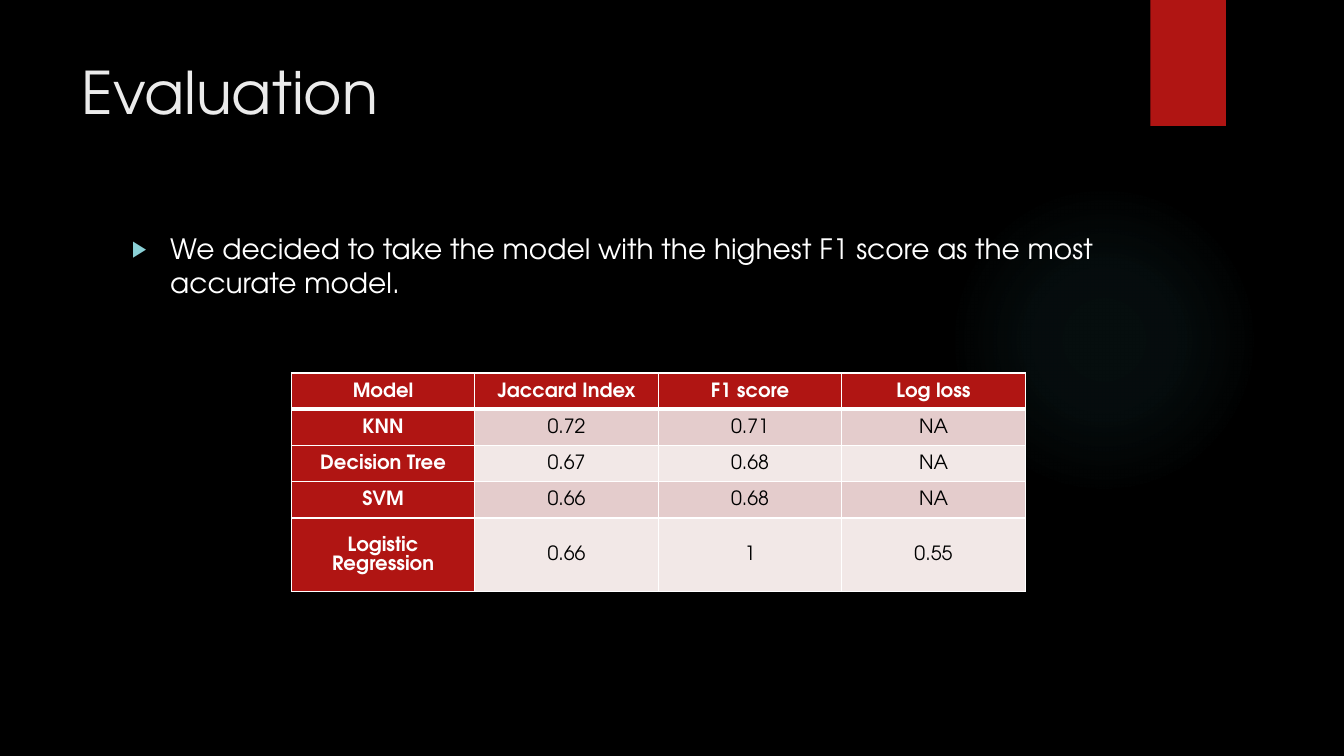
from lxml import etree
from pptx import Presentation
from pptx.dml.color import RGBColor
from pptx.enum.shapes import MSO_SHAPE
from pptx.enum.text import MSO_ANCHOR, PP_ALIGN
from pptx.oxml import parse_xml
from pptx.oxml.ns import nsdecls, qn
from pptx.util import Inches, Pt

FONT = "TeX Gyre Adventor"
COLORS = {
    "black": "000000", "white": "FFFFFF", "title": "EBEBEB", "red": "B01513",
    "teal": "50B9C1", "bullet": "8AD0D6", "odd": "E4CCCC", "even": "F2E8E7",
}
ROWS = [
    ["Model", "Jaccard Index", "F1 score", "Log loss"],
    ["KNN", "0.72", "0.71", "NA"],
    ["Decision Tree", "0.67", "0.68", "NA"],
    ["SVM", "0.66", "0.68", "NA"],
    ["Logistic Regression", "0.66", "1", "0.55"],
]
HEIGHTS = [0.36, 0.36, 0.36, 0.36, 0.73]


def rgb(name):
    return RGBColor.from_string(COLORS[name])


def add_run(para, text, size, color, bold=False):
    run = para.add_run()
    run.text = text
    font = run.font
    font.name, font.size, font.bold = FONT, Pt(size), bold
    font.color.rgb = rgb(color)


prs = Presentation()
prs.slide_width, prs.slide_height = Inches(13.33), Inches(7.5)
slide = prs.slides.add_slide(prs.slide_layouts[5])
slide.background.fill.solid()
slide.background.fill.fore_color.rgb = rgb("black")
shapes = slide.shapes

# Soft glow
glow = shapes.add_shape(MSO_SHAPE.OVAL, Inches(9.41), Inches(1.83),
                        Inches(3.08), Inches(3.08))
glow.shadow.inherit = False
glow.line.fill.background()
stops = "".join(
    f'<a:gs pos="{pos}000"><a:srgbClr val="{COLORS["teal"]}">'
    f'<a:alpha val="{alpha}000"/></a:srgbClr></a:gs>'
    for pos, alpha in [(0, 7), (36, 6), (69, 0), (100, 0)])
glow.fill.background()
props = glow._element.spPr
props.replace(props.find(qn("a:noFill")), parse_xml(
    f'<a:gradFill {nsdecls("a")}><a:gsLst>{stops}</a:gsLst><a:path path="circle">'
    '<a:fillToRect l="50000" t="50000" r="50000" b="50000"/></a:path></a:gradFill>'))

# Red tab
tab = shapes.add_shape(MSO_SHAPE.RECTANGLE, Inches(11.41), 0,
                       Inches(0.75), Inches(1.25))
tab.shadow.inherit = False
tab.fill.solid()
tab.fill.fore_color.rgb = rgb("red")
tab.line.fill.background()

# Title
title = shapes.title
title.left, title.top = Inches(0.71), Inches(0.5)
title.width, title.height = Inches(10.29), Inches(1.53)
title.text_frame.vertical_anchor = MSO_ANCHOR.TOP
para = title.text_frame.paragraphs[0]
para.alignment = PP_ALIGN.LEFT
add_run(para, "Evaluation", 42, "title")

# Bullet text
body = shapes.add_textbox(Inches(1.21), Inches(2.25), Inches(9.78), Inches(4.59))
body.text_frame.word_wrap = True
para = body.text_frame.paragraphs[0]
para.space_before = Pt(10)
add_run(para, "We decided to take the model with the highest F1 score "
        "as the most accurate model.", 20, "white")
props = para._p.get_or_add_pPr()
props.set("marL", str(Inches(0.38)))
props.set("indent", str(-Inches(0.38)))
tint = etree.SubElement(props, qn("a:buClr"))
etree.SubElement(tint, qn("a:srgbClr"), val=COLORS["bullet"])
etree.SubElement(props, qn("a:buSzPct"), val="80000")
etree.SubElement(props, qn("a:buFont"), typeface="Arial")
etree.SubElement(props, qn("a:buChar"), char="▶")

# Score table
table = shapes.add_table(len(ROWS), len(ROWS[0]), Inches(2.89), Inches(3.7),
                         Inches(7.28), Inches(sum(HEIGHTS))).table
table.first_col = True
for col in table.columns:
    col.width = Inches(1.82)
for r, (row, height) in enumerate(zip(ROWS, HEIGHTS)):
    table.rows[r].height = Inches(height)
    for c, text in enumerate(row):
        head = r == 0 or c == 0
        cell = table.cell(r, c)
        cell.fill.solid()
        cell.fill.fore_color.rgb = rgb("red" if head else "odd" if r % 2 else "even")
        cell.vertical_anchor = MSO_ANCHOR.MIDDLE
        cell.margin_left = cell.margin_right = Inches(0.07)
        cell.margin_top = cell.margin_bottom = 0
        para = cell.text_frame.paragraphs[0]
        para.alignment = PP_ALIGN.CENTER
        para.line_spacing = 1.07
        add_run(para, text, 14, "white" if head else "black", head)
        for i, side in enumerate("LRTB"):
            thick = (r, side) in [(0, "B"), (1, "T")]
            cell._tc.tcPr.insert(i, parse_xml(
                f'<a:ln{side} {nsdecls("a")} w="{Pt(3 if thick else 1)}"><a:solidFill>'
                f'<a:srgbClr val="{COLORS["white"]}"/></a:solidFill></a:ln{side}>'))

prs.save("out.pptx")
